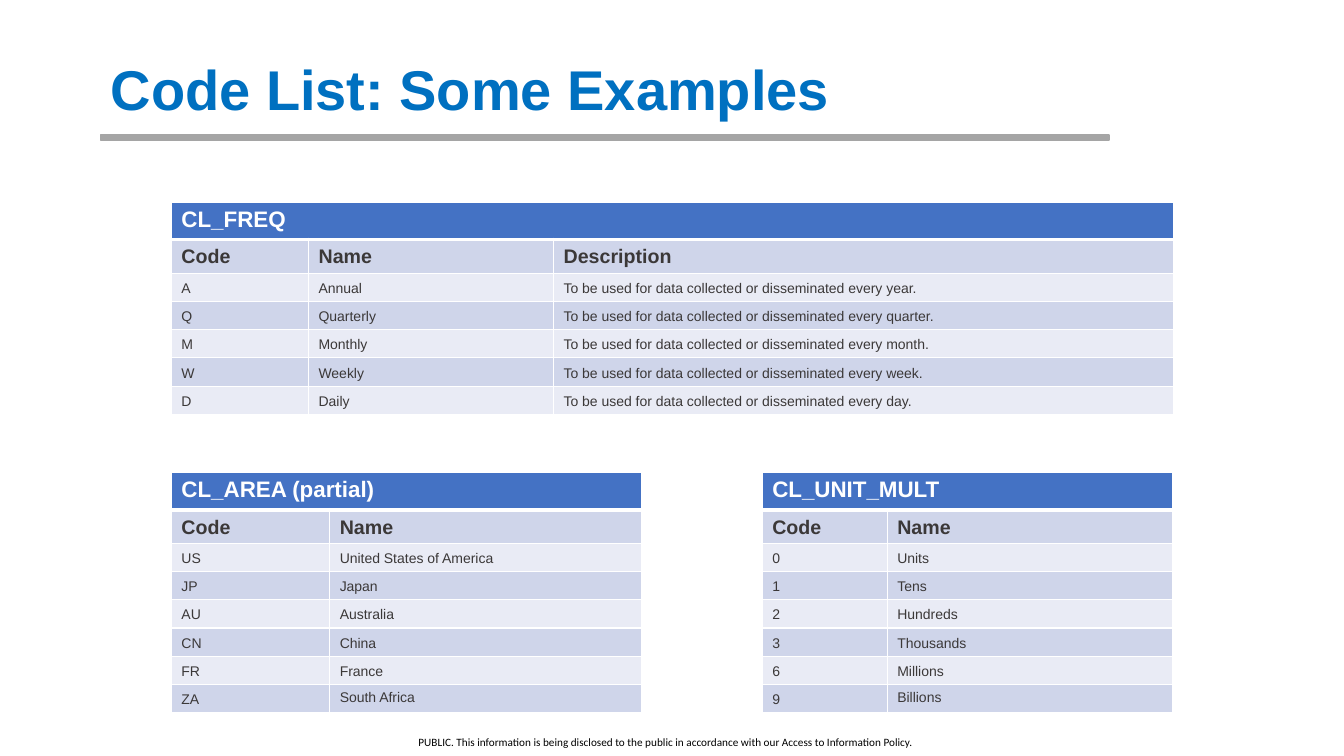
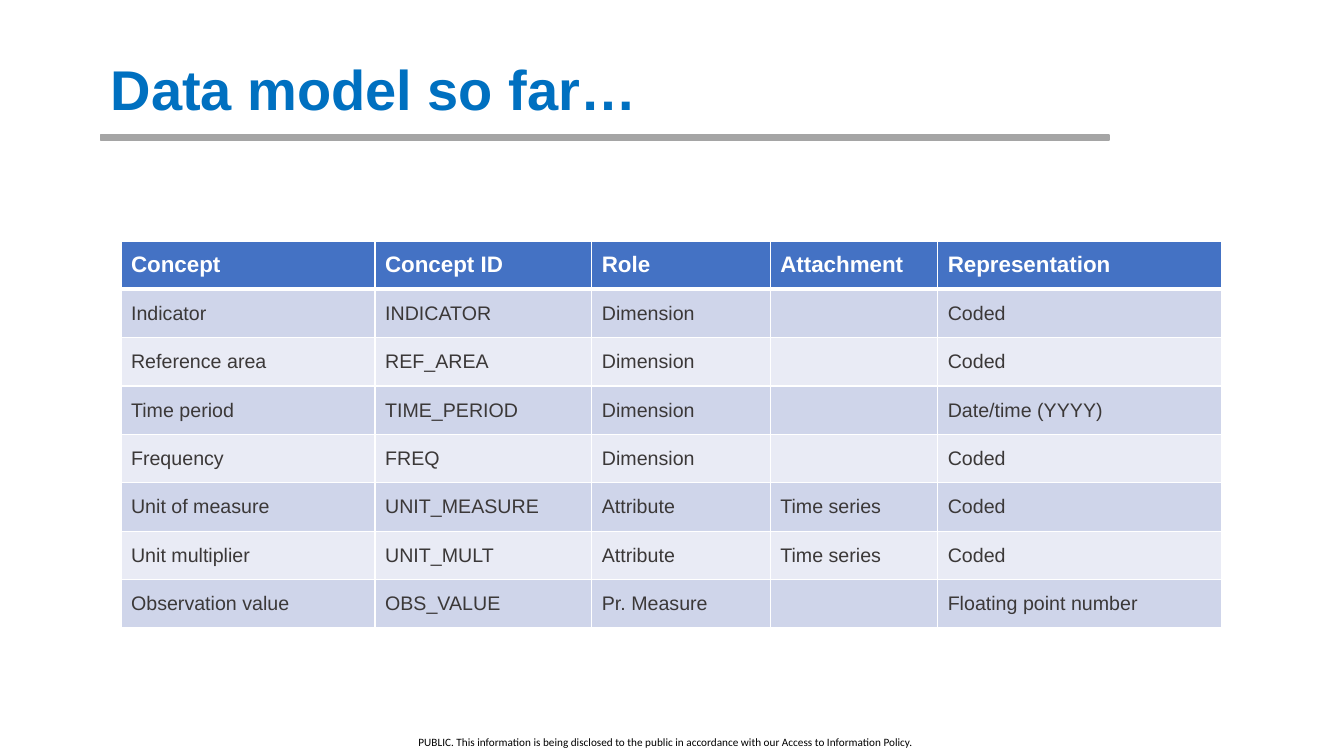
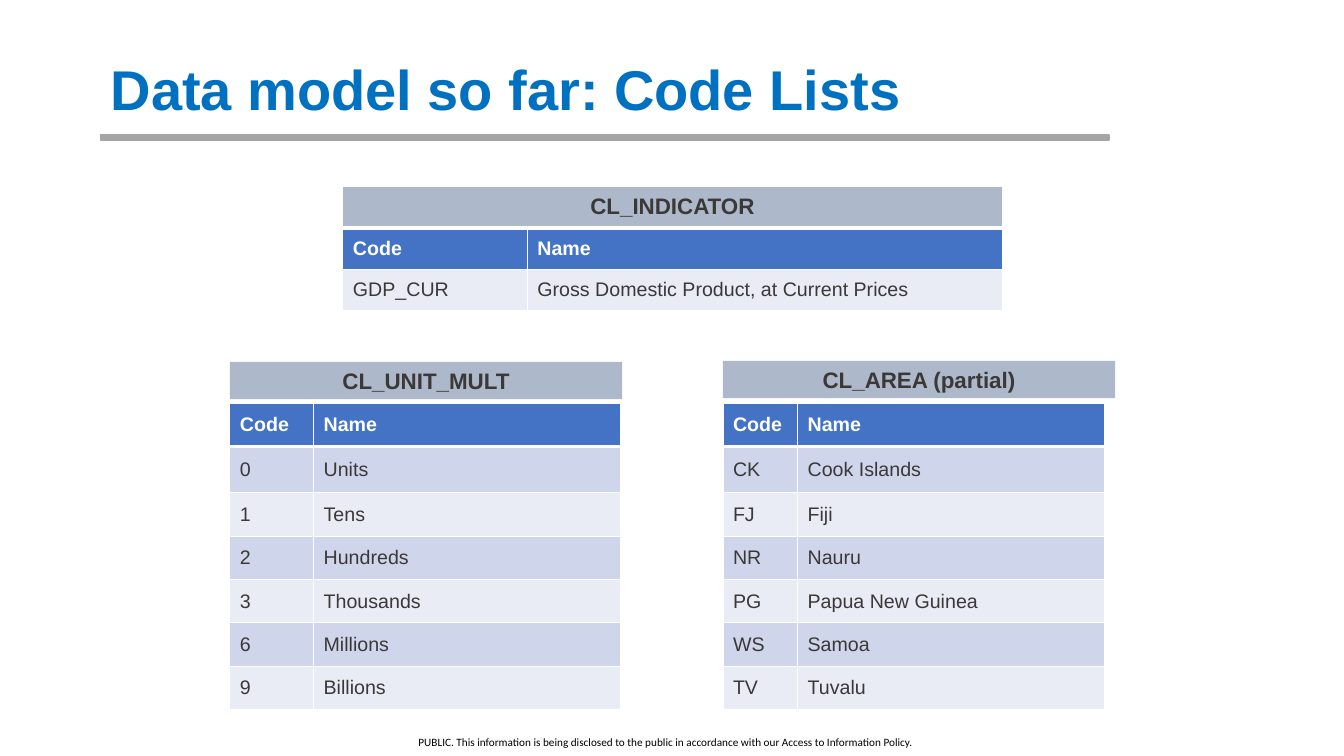
from lxml import etree
from pptx import Presentation
from pptx.dml.color import RGBColor
from pptx.enum.shapes import MSO_SHAPE
from pptx.enum.text import MSO_ANCHOR, PP_ALIGN
from pptx.oxml.ns import qn
from pptx.util import Emu, Pt

RECT = MSO_SHAPE.RECTANGLE
TOP, MID, LOW = MSO_ANCHOR.TOP, MSO_ANCHOR.MIDDLE, MSO_ANCHOR.BOTTOM
LEFT, MIDST = PP_ALIGN.LEFT, PP_ALIGN.CENTER

SCALE = 9144  # EMU in one px, 100 px to the inch
WHITE, INK, BLUE, GREY = "FFFFFF", "3B3838", "4472C4", "A5A5A5"
SLATE, BANDS = "ADB9CA", ("E9EBF5", "CFD5EA")
NOTE = ("PUBLIC. This information is being disclosed to the public "
        "in accordance with our Access to Information Policy.")

# Text formats
TITLE = {"name": "Arial", "size": 40, "bold": True, "color": "0070C0"}
FOOT = {"name": "Calibri", "size": 8, "bold": False, "color": "000000"}
HEAD = {"name": "Arial", "size": 16, "bold": True, "color": WHITE}
LABEL = {**HEAD, "color": INK}
SUB = {**HEAD, "size": 14}
BODY = {**SUB, "bold": False, "color": INK}
SMALL = {**BODY, "size": 10}

# Row looks: format, fill (None takes the band), anchor, alignment
CAP = (HEAD, BLUE, TOP, LEFT)
NAMES = ({**SUB, "color": INK}, None, LOW, LEFT)
ITEM = (SMALL, None, LOW, LEFT)
BANNER = (LABEL, SLATE, MID, MIDST)
TOPIC = (HEAD, BLUE, MID, LEFT)
FIELD = (SUB, BLUE, MID, LEFT)
ENTRY = (BODY, None, MID, LEFT)

UNITS = [("0", "Units"), ("1", "Tens"), ("2", "Hundreds"),
         ("3", "Thousands"), ("6", "Millions"), ("9", "Billions")]
PAIR = ("Code", "Name")
FREQ = [(code, name, f"To be used for data collected or disseminated every {span}.")
        for code, name, span in [
            ("A", "Annual", "year"), ("Q", "Quarterly", "quarter"),
            ("M", "Monthly", "month"), ("W", "Weekly", "week"), ("D", "Daily", "day")]]
AREAS = [("US", "United States of America"), ("JP", "Japan"), ("AU", "Australia"),
         ("CN", "China"), ("FR", "France"), ("ZA", "South Africa")]
ISLES = [("CK", "Cook Islands"), ("FJ", "Fiji"), ("NR", "Nauru"),
         ("PG", "Papua New Guinea"), ("WS", "Samoa"), ("TV", "Tuvalu")]
MODEL = [
    ("Concept", "Concept ID", "Role", "Attachment", "Representation"),
    ("Indicator", "INDICATOR", "Dimension", "", "Coded"),
    ("Reference area", "REF_AREA", "Dimension", "", "Coded"),
    ("Time period", "TIME_PERIOD", "Dimension", "", "Date/time (YYYY)"),
    ("Frequency", "FREQ", "Dimension", "", "Coded"),
    ("Unit of measure", "UNIT_MEASURE", "Attribute", "Time series", "Coded"),
    ("Unit multiplier", "UNIT_MULT", "Attribute", "Time series", "Coded"),
    ("Observation value", "OBS_VALUE", "Pr. Measure", "", "Floating point number"),
]


def px(*nums):
    return [Emu(num * SCALE) for num in nums]


def tint(code):
    return RGBColor.from_string(code)


def paint(part, code):
    part.fill.solid()
    part.fill.fore_color.rgb = tint(code)


def write(frame, text, form, align=LEFT):
    para = frame.paragraphs[0]
    para.alignment = align
    if text:
        run = para.add_run()
        run.text = text
        vals = {**form, "size": Pt(form["size"])}
        run.font.color.rgb = tint(vals.pop("color"))
        for key, val in vals.items():
            setattr(run.font, key, val)
    return para


def label(slide, box, text, form, wrap=True, inset=None):
    frame = slide.shapes.add_textbox(*px(*box)).text_frame
    frame.word_wrap = wrap
    frame.vertical_anchor = MID
    if inset is not None:
        for side in ("left", "top", "right", "bottom"):
            setattr(frame, f"margin_{side}", inset)
    return write(frame, text, form)


def block(slide, box, fill):
    shape = slide.shapes.add_shape(RECT, *px(*box))
    shape.shadow.inherit = False
    paint(shape, fill)
    shape.line.fill.background()
    return shape


def edge(cell, row):
    """White cell borders, thicker under the first row."""
    props = cell._tc.get_or_add_tcPr()
    wide = {"T": 3 if row == 1 else 1, "B": 3 if row == 0 else 1}
    for spot, side in enumerate("LRTB"):
        line = etree.Element(qn(f"a:ln{side}"), w=str(Pt(wide.get(side, 1))))
        fill = etree.SubElement(line, qn("a:solidFill"))
        etree.SubElement(fill, qn("a:srgbClr"), val=WHITE)
        props.insert(spot, line)


def grid(slide, spot, cols, rows, data, looks):
    """Table at spot; a row with a single text spans all columns."""
    size = (sum(cols), sum(rows))
    table = slide.shapes.add_table(len(rows), len(cols), *px(*spot, *size)).table
    table.first_row = table.horz_banding = False
    for col, wide in zip(table.columns, px(*cols)):
        col.width = wide
    for num, (tall, texts, look) in enumerate(zip(px(*rows), data, looks)):
        form, fill, anchor, align = look
        table.rows[num].height = tall
        for col in range(len(cols)):
            cell = table.cell(num, col)
            paint(cell, fill or BANDS[num % 2])
            edge(cell, num)
            cell.vertical_anchor = anchor
            if col < len(texts):
                write(cell.text_frame, texts[col], form, align)
        if len(texts) < len(cols):
            table.cell(num, 0).merge(table.cell(num, len(cols) - 1))
    return table


def base(deck, title):
    """Slide with the shared title, rule and footer."""
    slide = deck.slides.add_slide(deck.slide_layouts[6])
    label(slide, (415, 730, 505, 13), NOTE, FOOT, wrap=False, inset=0)
    label(slide, (100, 50, 1000, 83), title, TITLE).line_spacing = 0.9
    rule = block(slide, (100, 134, 1000, 5), GREY)
    rule.line.color.rgb = tint(GREY)
    rule.line.width = Pt(1)
    return slide


def codes(slide, spot, cols, name, heads, items):
    """Small code list with its name in the top row."""
    count = len(items)
    return grid(slide, spot, cols, [35, 33] + [28] * count,
                [(name,), heads, *items], [CAP, NAMES] + [ITEM] * count)


def panel(slide, spot, cols, name, items, rise):
    """Code list under a separate name bar."""
    left, top = spot
    bar = block(slide, (left, top - rise, 389, 37), SLATE)
    bar.text_frame.vertical_anchor = MID
    write(bar.text_frame, name, LABEL, MIDST)
    count = len(items)
    grid(slide, spot, cols, [43, 46] + [43] * (count - 1),
         [PAIR, *items], [FIELD] + [ENTRY] * count)


def samples(deck):
    slide = base(deck, "Code List: Some Examples")
    codes(slide, (170, 201), (136, 243, 615), "CL_FREQ", (*PAIR, "Description"), FREQ)
    for left, cols, name, items in [
            (756, (124, 283), "CL_UNIT_MULT", UNITS),
            (170, (157, 309), "CL_AREA (partial)", AREAS)]:
        table = codes(slide, (left, 469), cols, name, PAIR, items)
        table.cell(len(items) + 1, 1).vertical_anchor = TOP


def model(deck):
    slide = base(deck, "Data model so far…")
    looks = [TOPIC] + [ENTRY] * (len(MODEL) - 1)
    left, first = 120, 0
    for cols in [(252, 215, 177, 166), (282,)]:
        last = first + len(cols)
        grid(slide, (left, 239), cols, [48] * len(MODEL),
             [row[first:last] for row in MODEL], looks)
        left, first = left + sum(cols), last


def lists(deck):
    slide = base(deck, "Data model so far: Code Lists")
    grid(slide, (340, 185), (183, 471), [41] * 3,
         [("CL_INDICATOR",), PAIR,
          ("GDP_CUR", "Gross Domestic Product, at Current Prices")],
         [BANNER, FIELD, ENTRY])
    panel(slide, (228, 400), (83, 305), "CL_UNIT_MULT", UNITS, 41)
    panel(slide, (717, 400), (74, 305), "CL_AREA (partial)", ISLES, 42)


def main():
    deck = Presentation()
    deck.slide_width, deck.slide_height = px(1333, 750)
    for build in (samples, model, lists):
        build(deck)
    deck.save("out.pptx")


if __name__ == "__main__":
    main()
